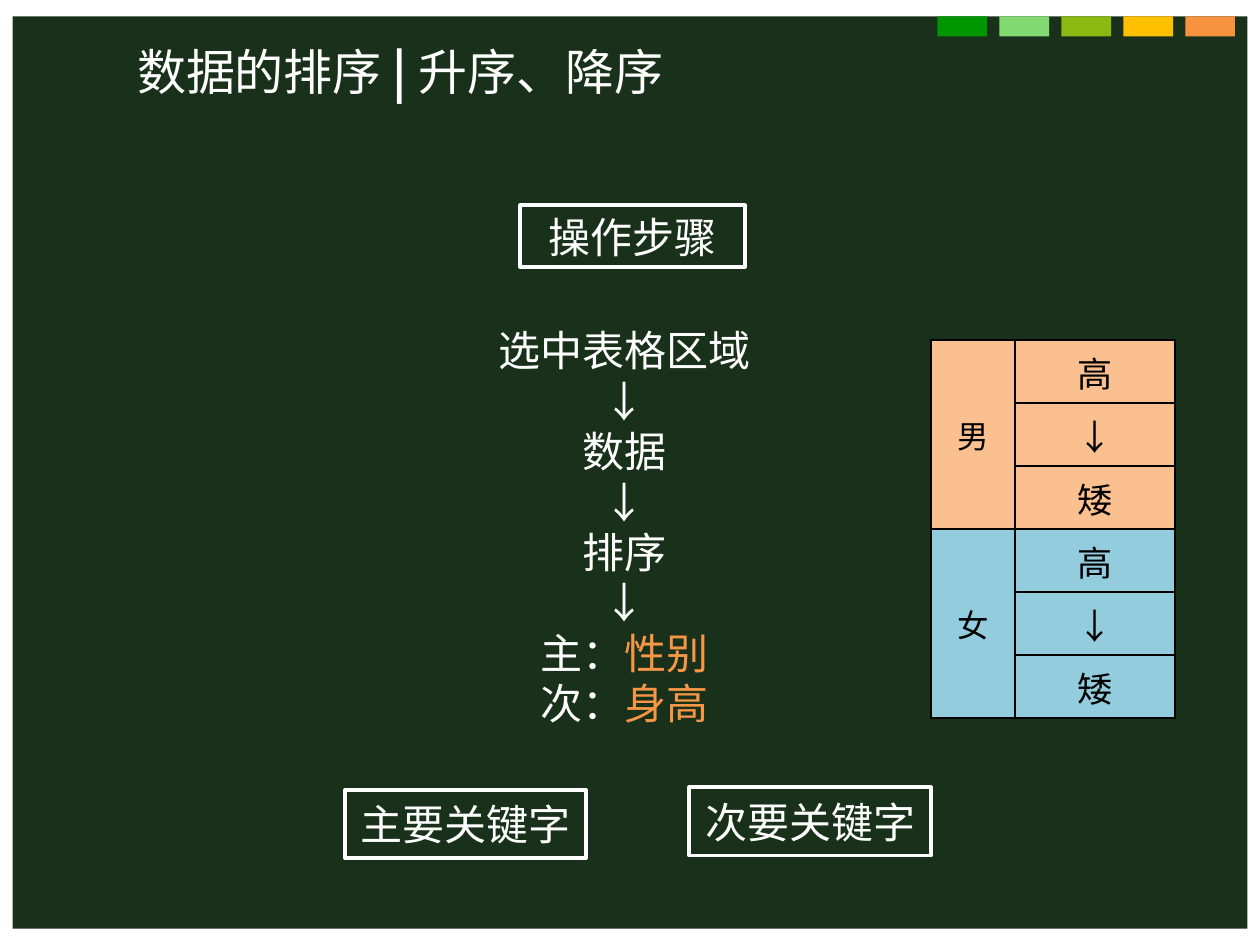
from dataclasses import dataclass

from lxml import etree
from pptx import Presentation
from pptx import util as u
from pptx.dml.color import RGBColor
from pptx.enum import shapes, text
from pptx.oxml.ns import qn


@dataclass(frozen=True)
class Theme:
    font: str = "Noto Sans CJK SC"
    board: str = "19311A"
    light: str = "FFFFFF"
    dark: str = "000000"
    accent: str = "F79646"
    male: str = "FAC090"
    female: str = "93CDDD"
    tabs: tuple = ("009600", "82D971", "8ABA12", "FFC000", "F7923F")
    title: int = 28
    body: int = 24
    height: int = 20
    gender: int = 18
    outline: float = 2.25


class Board:
    columns, rows = 100, 75

    def __init__(self, deck, theme):
        self.theme = theme
        self.slide = deck.slides.add_slide(deck.slide_layouts[6])
        self.cell_width = deck.slide_width / self.columns
        self.cell_height = deck.slide_height / self.rows

    def place(self, left, top, width, height):
        return (round(left * self.cell_width), round(top * self.cell_height),
                round(width * self.cell_width), round(height * self.cell_height))

    def add_words(self, paragraph, wording, size, color, bold=False):
        run = paragraph.add_run()
        run.text = wording
        run.font.size = u.Pt(size)
        run.font.bold = bold
        run.font.name = self.theme.font
        run.font.color.rgb = RGBColor.from_string(color)
        east_asian = etree.SubElement(run.font._element, qn("a:ea"))
        east_asian.set("typeface", self.theme.font)

    def block(self, area, color):
        block = self.slide.shapes.add_shape(shapes.MSO_SHAPE.RECTANGLE, *self.place(*area))
        block.shadow.inherit = False
        block.fill.solid()
        block.fill.fore_color.rgb = RGBColor.from_string(color)
        block.line.fill.background()

    def label(self, area, wording):
        label = self.slide.shapes.add_shape(shapes.MSO_SHAPE.RECTANGLE, *self.place(*area))
        label.shadow.inherit = False
        label.fill.background()
        label.line.color.rgb = RGBColor.from_string(self.theme.light)
        label.line.width = u.Pt(self.theme.outline)
        frame = label.text_frame
        frame.word_wrap = True
        frame.vertical_anchor = text.MSO_ANCHOR.MIDDLE
        paragraph = frame.paragraphs[0]
        paragraph.alignment = text.PP_ALIGN.CENTER
        self.add_words(paragraph, wording, self.theme.body, self.theme.light)

    def passage(self, area, lines, size, align, wrap):
        frame = self.slide.shapes.add_textbox(*self.place(*area)).text_frame
        frame.word_wrap = wrap
        frame.auto_size = text.MSO_AUTO_SIZE.SHAPE_TO_FIT_TEXT
        for index, line in enumerate(lines):
            paragraph = frame.add_paragraph() if index else frame.paragraphs[0]
            paragraph.alignment = align
            for wording, color, bold in line:
                self.add_words(paragraph, wording, size, color, bold)

    def border(self, cell):
        properties = cell._tc.get_or_add_tcPr()
        for side in ("lnL", "lnR", "lnT", "lnB"):
            edge = etree.SubElement(properties, qn(f"a:{side}"), w=str(u.Pt(1)))
            fill = etree.SubElement(edge, qn("a:solidFill"))
            etree.SubElement(fill, qn("a:srgbClr"), val=self.theme.dark)

    def fill_cell(self, cell, wording, size, color):
        self.border(cell)
        cell.fill.solid()
        cell.fill.fore_color.rgb = RGBColor.from_string(color)
        cell.vertical_anchor = text.MSO_ANCHOR.MIDDLE
        paragraph = cell.text_frame.paragraphs[0]
        paragraph.alignment = text.PP_ALIGN.CENTER
        if wording:
            self.add_words(paragraph, wording, size, self.theme.dark)

    def sorted_table(self, area, widths, groups, order):
        span = len(order)
        row_count = span * len(groups)
        table = self.slide.shapes.add_table(row_count, 2, *self.place(*area)).table
        for column, width in zip(table.columns, widths):
            column.width = round(width * self.cell_width)
        for number, (gender, color) in enumerate(groups):
            first = number * span
            for step, height in enumerate(order):
                heading = "" if step else gender
                self.fill_cell(table.cell(first + step, 0), heading, self.theme.gender, color)
                self.fill_cell(table.cell(first + step, 1), height, self.theme.height, color)
            table.cell(first, 0).merge(table.cell(first + span - 1, 0))


def main():
    deck = Presentation()
    deck.slide_width, deck.slide_height = u.Inches(10), u.Inches(7.5)
    theme = Theme()
    board = Board(deck, theme)

    board.block((1, 1.3, 98, 72.4), theme.board)
    for index, color in enumerate(theme.tabs):
        board.block((74.4 + 4.92 * index, 1.3, 3.94, 1.6), color)

    title = [("数据的排序 ", theme.light, False), ("| ", theme.light, True),
             ("升序、降序", theme.light, False)]
    board.passage((9.9, 2.8, 48, 5.7), [title], theme.title, text.PP_ALIGN.LEFT, True)

    board.label((41.3, 16.3, 17.8, 4.9), "操作步骤")
    board.label((27.4, 62.7, 19.1, 5.4), "主要关键字")
    board.label((54.7, 62.5, 19.2, 5.4), "次要关键字")

    steps = [[(step, theme.light, False)]
             for step in ("选中表格区域", "↓", "数据", "↓", "排序", "↓")]
    keys = [[(rank, theme.light, False), (field, theme.accent, False)]
            for rank, field in (("主：", "性别"), ("次：", "身高"))]
    board.passage((38.6, 25.3, 22, 33.3), steps + keys, theme.body,
                  text.PP_ALIGN.CENTER, False)

    board.sorted_table((73.9, 27, 19.4, 30), (6.65, 12.7),
                       (("男", theme.male), ("女", theme.female)), ("高", "↓", "矮"))
    deck.save("out.pptx")


if __name__ == "__main__":
    main()
